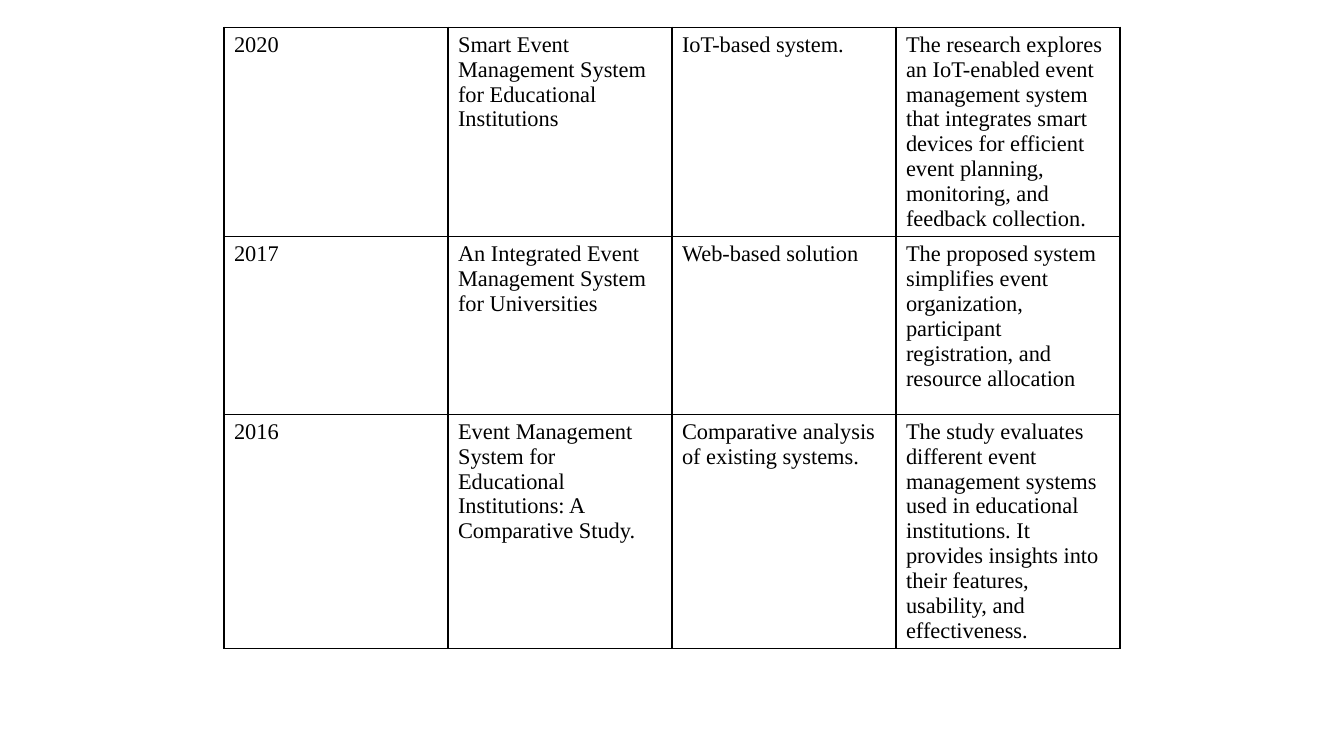
"""Build a slide with a literature survey table of event management systems."""
from lxml.etree import SubElement
from pptx import Presentation
from pptx.dml.color import RGBColor
from pptx.oxml.ns import qn
from pptx.util import Inches, Pt

SURVEY = [
    ("2020", "Smart Event Management System for Educational Institutions",
     "IoT-based system.",
     "The research explores an IoT-enabled event management system that integrates "
     "smart devices for efficient event planning, monitoring, and feedback collection."),
    ("2017", "An Integrated Event Management System for Universities",
     "Web-based solution",
     "The proposed system simplifies event organization, participant registration, "
     "and resource allocation"),
    ("2016", "Event Management System for Educational Institutions: A Comparative Study.",
     "Comparative analysis of existing systems.",
     "The study evaluates different event management systems used in educational "
     "institutions. It provides insights into their features, usability, and effectiveness."),
]
ROW_HEIGHTS = [2.08, 1.76, 2.32]


def write_text(cell, text, size=16, font="Times New Roman", color="000000"):
    run = cell.text_frame.paragraphs[0].add_run()
    run.text = text
    run.font.size = Pt(size)
    run.font.name = font
    run.font.bold = False
    run.font.color.rgb = RGBColor.from_string(color)


def add_borders(cell, color="000000", width=1):
    properties = cell._tc.get_or_add_tcPr()
    for side in ("a:lnL", "a:lnR", "a:lnT", "a:lnB"):
        line = SubElement(properties, qn(side), w=str(Pt(width)))
        fill = SubElement(line, qn("a:solidFill"))
        SubElement(fill, qn("a:srgbClr"), val=color)


presentation = Presentation()
presentation.slide_width = Inches(13.33)
presentation.slide_height = Inches(7.5)
slide = presentation.slides.add_slide(presentation.slide_layouts[6])

column_width = presentation.slide_width // 6
table = slide.shapes.add_table(
    len(SURVEY), 4, column_width, Inches(0.27),
    4 * column_width, Inches(sum(ROW_HEIGHTS))).table
table.first_row = False
table.horz_banding = False
for column in table.columns:
    column.width = column_width

for row, height, entries in zip(table.rows, ROW_HEIGHTS, SURVEY):
    row.height = Inches(height)
    for cell, text in zip(row.cells, entries):
        write_text(cell, text)
        add_borders(cell)
        cell.fill.background()

presentation.save("out.pptx")
